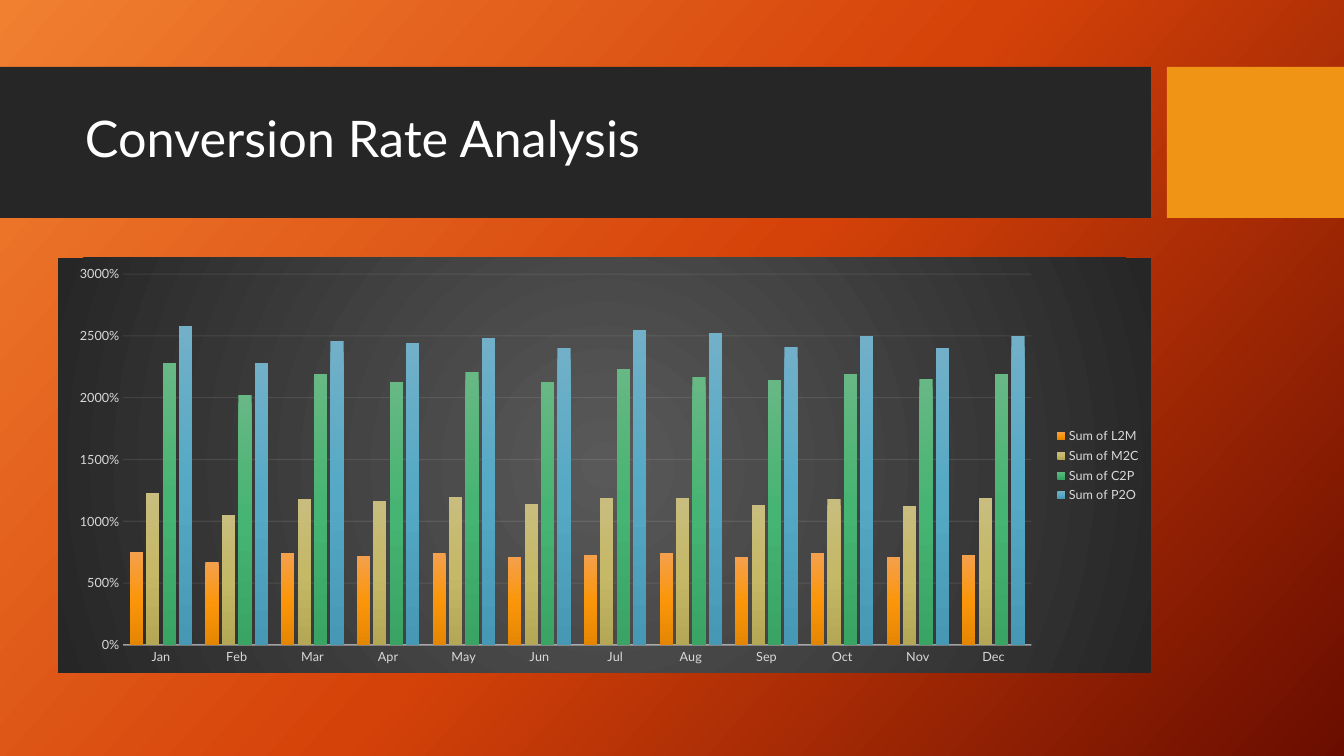
from lxml.etree import SubElement as Sub
from pptx import Presentation
from pptx.chart.data import CategoryChartData as Data
from pptx.dml.color import RGBColor as RGB
from pptx.enum.chart import XL_CHART_TYPE as Kind, XL_LEGEND_POSITION as Side, XL_TICK_MARK as Tick
from pptx.enum.shapes import MSO_SHAPE as Shape
from pptx.enum.text import MSO_ANCHOR as Anchor
from pptx.oxml import parse_xml
from pptx.oxml.ns import nsdecls, qn
from pptx.util import Pt

PX = 9144000 / 1008
FONT = "Lato"
COLORS = {"band": "262626", "accent": "F09415", "white": "FFFFFF",
          "label": "D9D9D9", "line": "F2F2F2", "glow": "595959"}
BACK = ("F18031", "D54209", "6A0D00")
MONTHS = "Jan Feb Mar Apr May Jun Jul Aug Sep Oct Nov Dec".split()
RATES = [
    ("Sum of L2M", ("F4A04D", "FB960A", "E58603"),
     (7.5, 6.7, 7.4, 7.2, 7.4, 7.1, 7.3, 7.4, 7.1, 7.4, 7.1, 7.3)),
    ("Sum of M2C", ("C8BD7E", "C5B867", "B4A756"),
     (12.3, 10.5, 11.8, 11.6, 12, 11.4, 11.9, 11.9, 11.3, 11.8, 11.2, 11.9)),
    ("Sum of C2P", ("67B884", "46B472", "3AA464"),
     (22.8, 20.2, 21.9, 21.3, 22.1, 21.3, 22.3, 21.7, 21.4, 21.9, 21.5, 21.9)),
    ("Sum of P2O", ("71B0C8", "55A9C5", "4798B4"),
     (25.8, 22.8, 24.6, 24.4, 24.8, 24, 25.5, 25.2, 24.1, 25, 24, 25)),
]


def emu(*sizes):
    return [round(size * PX) for size in sizes]


def color(name):
    return RGB.from_string(COLORS[name])


def blend(hues, angle=None):
    """Gradient of evenly spaced hues: linear at an angle, else from the centre."""
    step = 100000 // (len(hues) - 1)
    stops = "".join(f'<a:gs pos="{i * step}"><a:srgbClr val="{hue}"/></a:gs>'
                    for i, hue in enumerate(hues))
    if angle is None:
        way = ('<a:path path="circle"><a:fillToRect l="50000" t="50000" '
               'r="50000" b="50000"/></a:path>')
    else:
        way = f'<a:lin ang="{angle * 60000}" scaled="0"/>'
    return parse_xml(f'<a:gradFill {nsdecls("a")} rotWithShape="1">'
                     f'<a:gsLst>{stops}</a:gsLst>{way}</a:gradFill>')


def swap(root, fill):
    """Put a gradient in place of the first solid fill."""
    old = next(root.iter(qn("a:solidFill")))
    old.getparent().replace(old, fill)


def style(font, size, name):
    font.size, font.name = Pt(size), FONT
    font.color.rgb = color(name)


def rule(owner, width, alpha):
    """Draw a see-through axis or grid line."""
    line = owner.format.line
    line.width = Pt(width)
    line.color.rgb = color("line")
    hue = next(owner.format._element.find(qn("c:spPr")).iter(qn("a:srgbClr")))
    Sub(hue, qn("a:alpha")).set("val", str(alpha * 1000))


def block(slide, box, name):
    rect = slide.shapes.add_shape(Shape.RECTANGLE, *emu(*box))
    rect.shadow.inherit = False
    rect.fill.solid()
    rect.fill.fore_color.rgb = color(name)
    rect.line.fill.background()


def header(slide, left, top, width, height):
    band, gap = 1151, 16
    block(slide, (left, top, band, height), "band")
    block(slide, (left + band + gap, top, width - band - gap, height), "accent")
    frame = slide.shapes.add_textbox(*emu(left + 75, top + 15, 1059, 119)).text_frame
    frame.word_wrap = True
    frame.vertical_anchor = Anchor.MIDDLE
    para = frame.paragraphs[0]
    para.line_spacing = 0.9
    run = para.add_run()
    run.text = "Conversion Rate Analysis"
    style(run.font, 36, "white")


def panel(chart):
    """Fill the chart area with a round glow and keep its corners square."""
    space = chart._chartSpace
    for old in space.findall(qn("c:roundedCorners")):
        space.remove(old)
    space.find(qn("c:date1904")).addnext(
        parse_xml(f'<c:roundedCorners {nsdecls("c")} val="0"/>'))
    area = parse_xml(f'<c:spPr {nsdecls("c", "a")}><a:solidFill/>'
                     '<a:ln><a:noFill/></a:ln></c:spPr>')
    swap(area, blend((COLORS["glow"], COLORS["band"])))
    space.find(qn("c:txPr")).addprevious(area)


def rates(slide, *box):
    data = Data(number_format="0%")
    data.categories = MONTHS
    for name, _, vals in RATES:
        data.add_series(name, vals)
    chart = slide.shapes.add_chart(Kind.COLUMN_CLUSTERED, *emu(*box), data).chart
    chart.has_title = False
    style(chart.font, 10, "white")
    panel(chart)

    plot = chart.plots[0]
    plot.vary_by_categories = False
    plot.gap_width, plot.overlap = 100, -24
    for bars, (_, hues, _) in zip(plot.series, RATES):
        bars.format.fill.solid()
        swap(bars._element.find(qn("c:spPr")), blend(hues, 90))

    months, scale = chart.category_axis, chart.value_axis
    for axis in (months, scale):
        axis.major_tick_mark = axis.minor_tick_mark = Tick.NONE
        style(axis.tick_labels.font, 9, "label")
    rule(months, 1, 54)
    scale.format.line.fill.background()
    scale.minimum_scale, scale.maximum_scale, scale.major_unit = 0, 30, 5
    scale.tick_labels.number_format = "0%"
    scale.tick_labels.number_format_is_linked = False
    scale.has_major_gridlines = True
    grid = scale.major_gridlines
    grid.format.line.width = Pt(0.75)
    grid.format.line.color.rgb = color("line")
    hue = next(scale._element.find(qn("c:majorGridlines")).iter(qn("a:srgbClr")))
    Sub(hue, qn("a:alpha")).set("val", "10000")

    chart.has_legend = True
    chart.legend.position = Side.RIGHT
    chart.legend.include_in_layout = False
    style(chart.legend.font, 9, "label")


def main():
    deck = Presentation()
    deck.slide_width, deck.slide_height = emu(1344, 756)
    slide = deck.slides.add_slide(deck.slide_layouts[6])
    slide.background.fill.solid()
    swap(slide._element, blend(BACK, 42))
    header(slide, 0, 67, 1344, 151)
    rates(slide, 58, 258, 1093, 415)
    deck.save("out.pptx")


if __name__ == "__main__":
    main()
